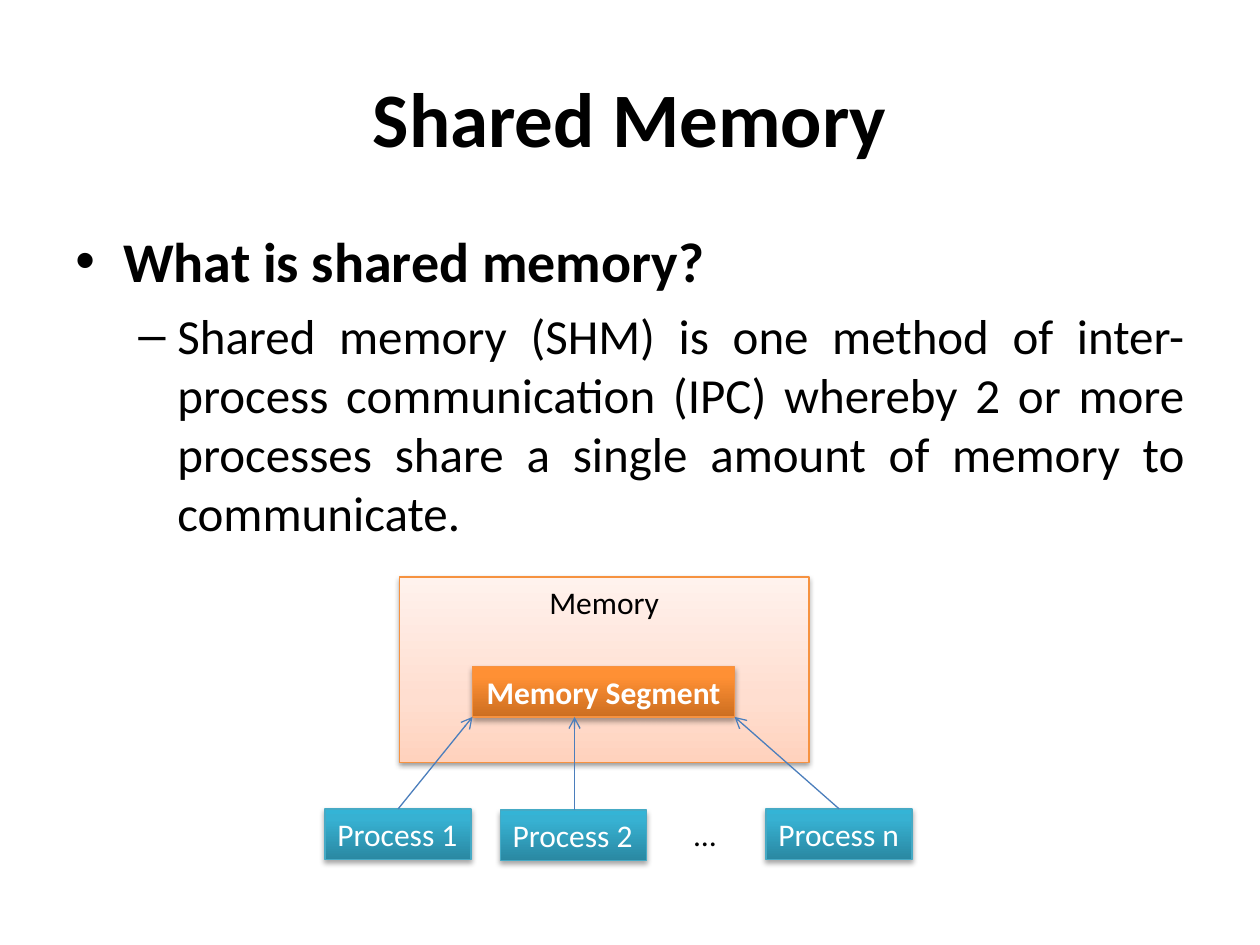
from pptx import Presentation
from pptx.dml.color import RGBColor
from pptx.enum.shapes import MSO_CONNECTOR as Link, MSO_SHAPE as Kind
from pptx.enum.text import MSO_ANCHOR as Anchor, MSO_AUTO_SIZE as Auto, PP_ALIGN as Align
from pptx.oxml import parse_xml
from pptx.oxml.ns import nsdecls, qn
from pptx.util import Inches, Pt
from lxml.etree import SubElement

BLACK = RGBColor(0, 0, 0)
WHITE = RGBColor(255, 255, 255)
ORANGE = RGBColor(0xF6, 0x92, 0x40)
TEAL = RGBColor(0x46, 0xAA, 0xC5)
BLUE = RGBColor(0x4B, 0x7E, 0xBC)

# Gradient stops run from the bottom up; shadow is opacity in % and offset in points.
PALE = dict(stops=[(0, "FFD2BD"), (35, "FFDED0"), (100, "FFF2ED")],
            edge=ORANGE, shade=(38, 1.6))
DEEP = dict(stops=[(0, "CC6E20"), (80, "FF9034"), (100, "FF9136")],
            edge=ORANGE, shade=(35, 1.8))
AQUA = dict(stops=[(0, "2A88A2"), (80, "37B1D2"), (100, "34B4D6")],
            edge=TEAL, shade=(35, 1.8))

TITLE = "Shared Memory"
# text, bullet, left margin, hanging indent, space before, alignment, font
BODY = [
    ("What is shared memory?", "•", 0.38, 0.38, 0, Align.LEFT,
     dict(size=Pt(32), bold=True)),
    ("Shared memory (SHM) is one method of inter-process communication (IPC) "
     "whereby 2 or more processes share a single amount of memory to communicate.",
     "–", 0.81, 0.31, 6.7, Align.JUSTIFY, dict(size=Pt(28), bold=False)),
]
MEMORY = (3.17, 4.58, 3.25, 1.47)
SEGMENT = (3.75, 5.29, 2.08, 0.4)
WIDE, HIGH = 1.16, 0.4
# label, left, top, x where its arrow meets the segment
TASKS = [
    ("Process 1", 2.58, 6.42, 3.75),
    ("Process 2", 3.97, 6.43, 4.56),
    ("Process n", 6.08, 6.42, 5.83),
]
DOTS = ("…", (5.41, 6.42, 0.38, HIGH))


def style(font, **extra):
    look = dict(name="Calibri", size=Pt(18), bold=False) | extra
    font.color.rgb = look.pop("color", BLACK)
    for key, val in look.items():
        setattr(font, key, val)


def label(shape, text, align=Align.LEFT, wrap=False, grow=True, **font):
    frame = shape.text_frame
    frame.text = text
    form = dict(word_wrap=wrap, vertical_anchor=Anchor.TOP,
                auto_size=Auto.SHAPE_TO_FIT_TEXT if grow else Auto.NONE)
    for key, val in form.items():
        setattr(frame, key, val)
    para = frame.paragraphs[0]
    para.alignment = align
    style(para.font, **font)


def add_box(slide, place, look):
    """Add a rectangle with a vertical gradient, thin edge and soft shadow."""
    box = slide.shapes.add_shape(Kind.RECTANGLE, *map(Inches, place))
    box.line.color.rgb = look["edge"]
    box.line.width = Pt(0.75)
    stops = "".join(f'<a:gs pos="{pos * 1000}"><a:srgbClr val="{tone}"/></a:gs>'
                    for pos, tone in look["stops"])
    props = box._element.spPr
    props.find(qn("a:prstGeom")).addnext(parse_xml(
        f'<a:gradFill {nsdecls("a")} rotWithShape="1"><a:gsLst>{stops}</a:gsLst>'
        '<a:lin ang="16200000" scaled="0"/></a:gradFill>'))
    alpha, shift = look["shade"]
    props.append(parse_xml(
        f'<a:effectLst {nsdecls("a")}><a:outerShdw blurRad="{Pt(3.1)}" '
        f'dist="{Pt(shift)}" dir="5400000" rotWithShape="0"><a:srgbClr val="000000">'
        f'<a:alpha val="{alpha * 1000}"/></a:srgbClr></a:outerShdw></a:effectLst>'))
    return box


def add_arrow(slide, *ends):
    arrow = slide.shapes.add_connector(Link.STRAIGHT, *map(Inches, ends))
    arrow.line.color.rgb = BLUE
    arrow.line.width = Pt(0.75)
    SubElement(arrow.line._get_or_add_ln(), qn("a:tailEnd"), type="arrow")
    SubElement(arrow._element.spPr, qn("a:effectLst"))


def add_body(slide):
    frame = slide.shapes.add_textbox(*map(Inches, (0.5, 1.75, 9, 4.95))).text_frame
    frame.word_wrap = True
    for i, (text, mark, left, hang, gap, align, font) in enumerate(BODY):
        para = frame.add_paragraph() if i else frame.paragraphs[0]
        para.text = text
        props = para._p.get_or_add_pPr()
        props.set("marL", str(Inches(left)))
        props.set("indent", str(-Inches(hang)))
        SubElement(props, qn("a:buFont"), typeface="Arial")
        SubElement(props, qn("a:buChar"), char=mark)
        para.alignment = align
        para.space_before = Pt(gap)
        style(para.font, **font)


def main():
    deck = Presentation()
    deck.slide_width, deck.slide_height = Inches(10), Inches(7.5)
    slide = deck.slides.add_slide(deck.slide_layouts[5])

    label(add_box(slide, MEMORY, PALE), "Memory", Align.CENTER, True, False)

    title = slide.shapes.title
    for key, val in zip(("left", "top", "width", "height"), (0.5, 0.3, 9, 1.25)):
        setattr(title, key, Inches(val))
    label(title, TITLE, Align.CENTER, True, False, size=Pt(44), bold=True)
    title.text_frame.vertical_anchor = Anchor.MIDDLE
    add_body(slide)

    label(add_box(slide, SEGMENT, DEEP), "Memory Segment", Align.CENTER, True,
          bold=True, color=WHITE)
    for name, left, top, _ in TASKS:
        label(add_box(slide, (left, top, WIDE, HIGH), AQUA), name, color=WHITE)
    text, place = DOTS
    label(slide.shapes.add_textbox(*map(Inches, place)), text)

    base = SEGMENT[1] + SEGMENT[3]
    for _, left, top, goal in TASKS:
        mid = goal if left < goal < left + WIDE and top > 6.42 else left + WIDE / 2
        add_arrow(slide, mid, top, goal, base)

    deck.save("out.pptx")


if __name__ == "__main__":
    main()
